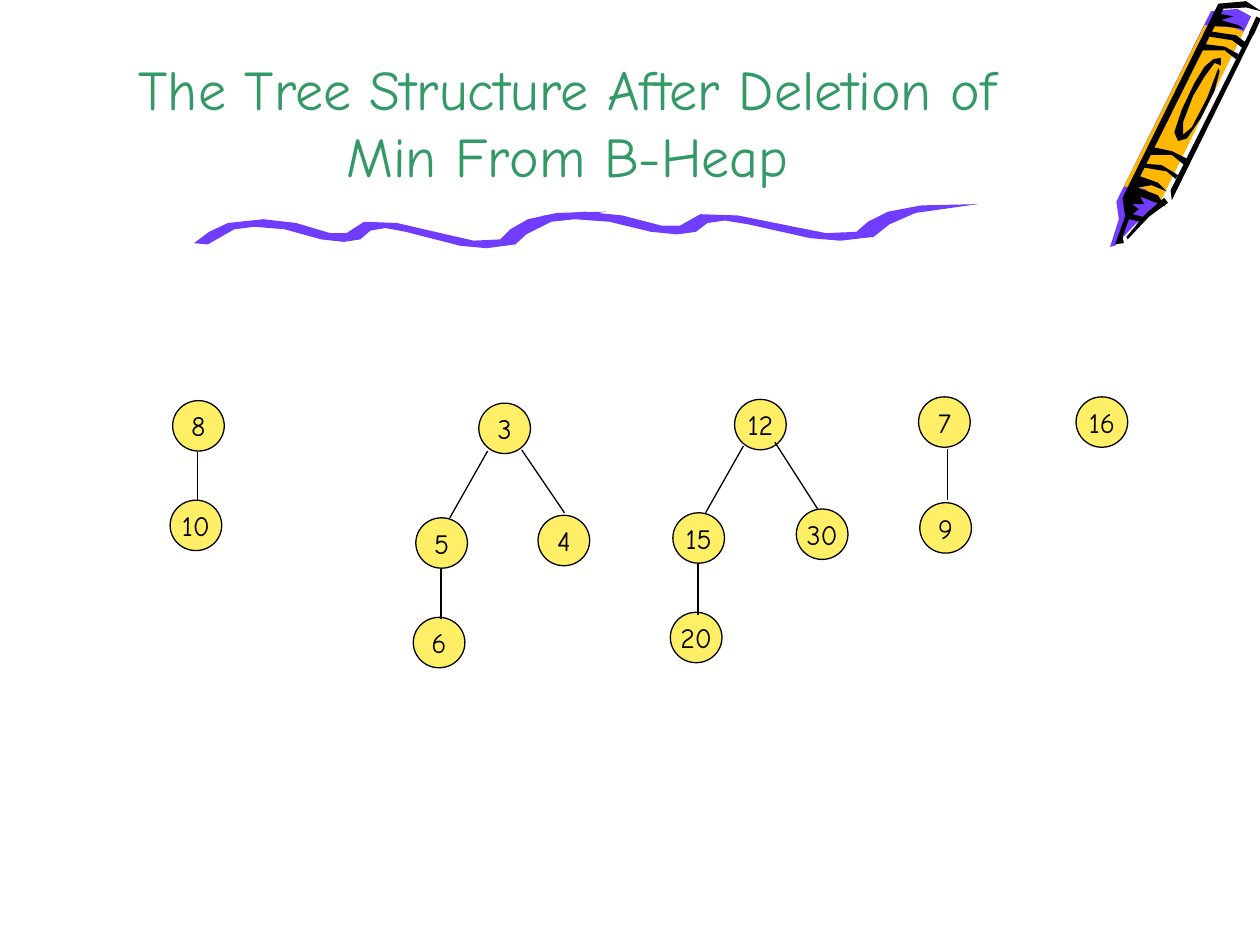
import dataclasses

import lxml.etree
import pptx
import pptx.dml.color
import pptx.enum.shapes
import pptx.enum.text
import pptx.oxml.ns
import pptx.util

COLS, ROWS = 1000, 750
WIDTH, HEIGHT = pptx.util.Inches(10), pptx.util.Inches(7.5)
NODE = (41, 40)


@dataclasses.dataclass(frozen=True)
class Theme:
    """Colours, font and type sizes of the slide."""

    font: str = "Comic Neue"
    title: str = "339966"
    ink: str = "000000"
    node: str = "FFEF66"
    wave: str = "703DFF"
    wax: str = "FFB800"
    head: int = 32
    label: int = 16
    thin: float = 0.75
    thick: float = 3


@dataclasses.dataclass(frozen=True)
class Box:
    """An area of the slide in grid columns and rows."""

    col: float
    row: float
    wide: float = 0
    tall: float = 0

    def spot(self, col, row):
        """Turn a place inside the box into slide lengths."""
        return (round((self.col + col) * WIDTH / COLS),
                round((self.row + row) * HEIGHT / ROWS))

    def inner(self, col, row, wide, tall):
        """Give a smaller box inside this one."""
        return Box(self.col + col, self.row + row, wide, tall)

    def frame(self):
        """Give left, top, width and height as slide lengths."""
        return (*self.spot(0, 0), *Box(0, 0).spot(self.wide, self.tall))


THEME = Theme()

WAVE = [(11, 26), (32, 14), (48, 12), (72, 14), (101, 22), (119, 24), (132, 22),
        (140, 15), (152, 13), (168, 16), (211, 27), (232, 29), (255, 26),
        (266, 16), (284, 7), (327, 0), (288, 1), (265, 6), (251, 14), (243, 22),
        (222, 23), (200, 18), (161, 9), (135, 8), (121, 17), (108, 17), (81, 9),
        (55, 6), (27, 9), (12, 16), (0, 25)]
WAVE_SIZE = (327, 29)

CRAYON = [
    (THEME.wave, [(113, 13), (37, 166), (21, 178), (5, 195), (1, 196), (8, 174),
                  (6, 160), (81, 9), (102, 7)]),
    (THEME.wax, [(41, 160), (29, 150), (12, 148), (76, 20), (99, 22), (107, 25)]),
    (THEME.ink, [(47, 161), (32, 172), (15, 190), (14, 188), (29, 170), (44, 157)]),
    (THEME.ink, [(107, 23), (93, 21), (81, 21), (88, 11), (99, 13), (89, 16),
                 (103, 20)]),
    (THEME.ink, [(88, 57), (84, 72), (73, 94), (62, 110), (55, 112), (52, 105),
                 (58, 87), (68, 66), (76, 53), (83, 47), (89, 46), (89, 52),
                 (84, 50), (76, 61), (67, 76), (59, 97), (59, 107), (66, 101),
                 (78, 78), (87, 54)]),
    (THEME.ink, [(117, 23), (50, 159), (49, 151), (113, 23)]),
    (THEME.ink, [(45, 164), (39, 155), (23, 149), (34, 147), (46, 152), (39, 145),
                 (25, 140), (91, 7), (109, 6), (121, 9), (109, 1), (87, 3),
                 (11, 157), (13, 172), (5, 194), (12, 193), (11, 188), (16, 174),
                 (25, 176), (30, 173), (19, 170), (24, 166), (18, 162), (28, 162),
                 (25, 156)]),
    (THEME.ink, [(53, 142), (46, 136), (28, 133), (29, 130), (42, 131), (55, 139)]),
    (THEME.ink, [(60, 131), (50, 123), (33, 123), (36, 117), (50, 120), (62, 126)]),
    (THEME.ink, [(101, 47), (92, 40), (73, 40), (76, 35), (92, 37), (103, 43)]),
    (THEME.ink, [(106, 38), (98, 32), (79, 29), (81, 25), (101, 28), (109, 34)]),
]

TREES = [
    (Box(135, 318), [("8", 2, 0), ("10", 0, 79)], [(22, 41, 22, 80)]),
    (Box(328, 320),
     [("3", 52, 0), ("5", 2, 91), ("6", 0, 170), ("4", 99, 89)],
     [(22, 132, 22, 171), (59, 38, 29, 91), (86, 37, 120, 87)]),
    (Box(532, 317),
     [("12", 51, 0), ("15", 2, 90), ("20", 0, 169), ("30", 100, 87)],
     [(22, 131, 22, 171), (58, 37, 28, 90), (83, 34, 117, 87)]),
    (Box(729, 315), [("7", 0, 0), ("9", 1, 84)], [(23, 41, 23, 82)]),
    (Box(854, 315), [("16", 0, 0)], []),
]


def tint(text):
    """Make a colour from its hex text."""
    return pptx.dml.color.RGBColor.from_string(text)


def write(frame, text, size, shade):
    """Put one centred run in a text frame."""
    line = frame.paragraphs[0]
    line.alignment = pptx.enum.text.PP_ALIGN.CENTER
    run = line.add_run()
    run.text = text
    run.font.name = THEME.font
    run.font.size = pptx.util.Pt(size)
    run.font.color.rgb = tint(shade)


def patch(shapes, box, dots, shade):
    """Draw a filled outline through points of the box."""
    spots = [box.spot(*dot) for dot in dots]
    pen = shapes.build_freeform(*spots[0])
    pen.add_line_segments(spots[1:], close=True)
    shape = pen.convert_to_shape()
    shape.shadow.inherit = False
    shape.fill.solid()
    shape.fill.fore_color.rgb = tint(shade)
    shape.line.fill.background()


def link(shapes, box, ends, size):
    """Draw a straight line between two places of the box."""
    edge = shapes.add_connector(pptx.enum.shapes.MSO_CONNECTOR.STRAIGHT,
                                *box.spot(*ends[:2]), *box.spot(*ends[2:]))
    edge.line.color.rgb = tint(THEME.ink)
    edge.line.width = pptx.util.Pt(size)
    lxml.etree.SubElement(edge._element.spPr, pptx.oxml.ns.qn("a:effectLst"))


def crayon(slide, box):
    """Draw the crayon in its corner."""
    shapes = slide.shapes.add_group_shape().shapes
    for shade, dots in CRAYON:
        patch(shapes, box, dots, shade)
    link(shapes, box, (119, 14, 113, 27), THEME.thick)


def wave(shapes, box):
    """Draw one wavy stroke stretched over the box."""
    wide, tall = box.wide / WAVE_SIZE[0], box.tall / WAVE_SIZE[1]
    patch(shapes, box, [(x * wide, y * tall) for x, y in WAVE], THEME.wave)


def rule(slide, box):
    """Underline the title with two overlapping strokes."""
    shapes = slide.shapes.add_group_shape().shapes
    wave(shapes, box.inner(0, 6, 327, 29))
    wave(shapes, box.inner(247, 0, 375, 29))


def title(slide, box):
    """Write the title at the foot of the box."""
    frame = slide.shapes.add_textbox(*box.frame()).text_frame
    frame.word_wrap = True
    frame.vertical_anchor = pptx.enum.text.MSO_ANCHOR.BOTTOM
    write(frame, "The Tree Structure After Deletion of Min From B-Heap",
          THEME.head, THEME.title)


def node(slide, box, text):
    """Draw one labelled circle."""
    shape = slide.shapes.add_shape(pptx.enum.shapes.MSO_SHAPE.OVAL, *box.frame())
    shape.shadow.inherit = False
    shape.fill.solid()
    shape.fill.fore_color.rgb = tint(THEME.node)
    shape.line.color.rgb = tint(THEME.ink)
    shape.line.width = pptx.util.Pt(THEME.thin)
    frame = shape.text_frame
    frame.word_wrap = False
    frame.vertical_anchor = pptx.enum.text.MSO_ANCHOR.MIDDLE
    write(frame, text, THEME.label, THEME.ink)


def tree(slide, box, nodes, edges):
    """Draw one heap tree from its nodes and edges."""
    for text, col, row in nodes:
        node(slide, box.inner(col, row, *NODE), text)
    for ends in edges:
        link(slide.shapes, box, ends, THEME.thin)


def main():
    """Build and save the slide."""
    deck = pptx.Presentation()
    deck.slide_width, deck.slide_height = WIDTH, HEIGHT
    slide = deck.slides.add_slide(deck.slide_layouts[6])
    crayon(slide, Box(880, 0, 120, 200))
    rule(slide, Box(154, 162, 622, 35))
    title(slide, Box(75, 0, 751, 155))
    for box, nodes, edges in TREES:
        tree(slide, box, nodes, edges)
    deck.save("out.pptx")


if __name__ == "__main__":
    main()
